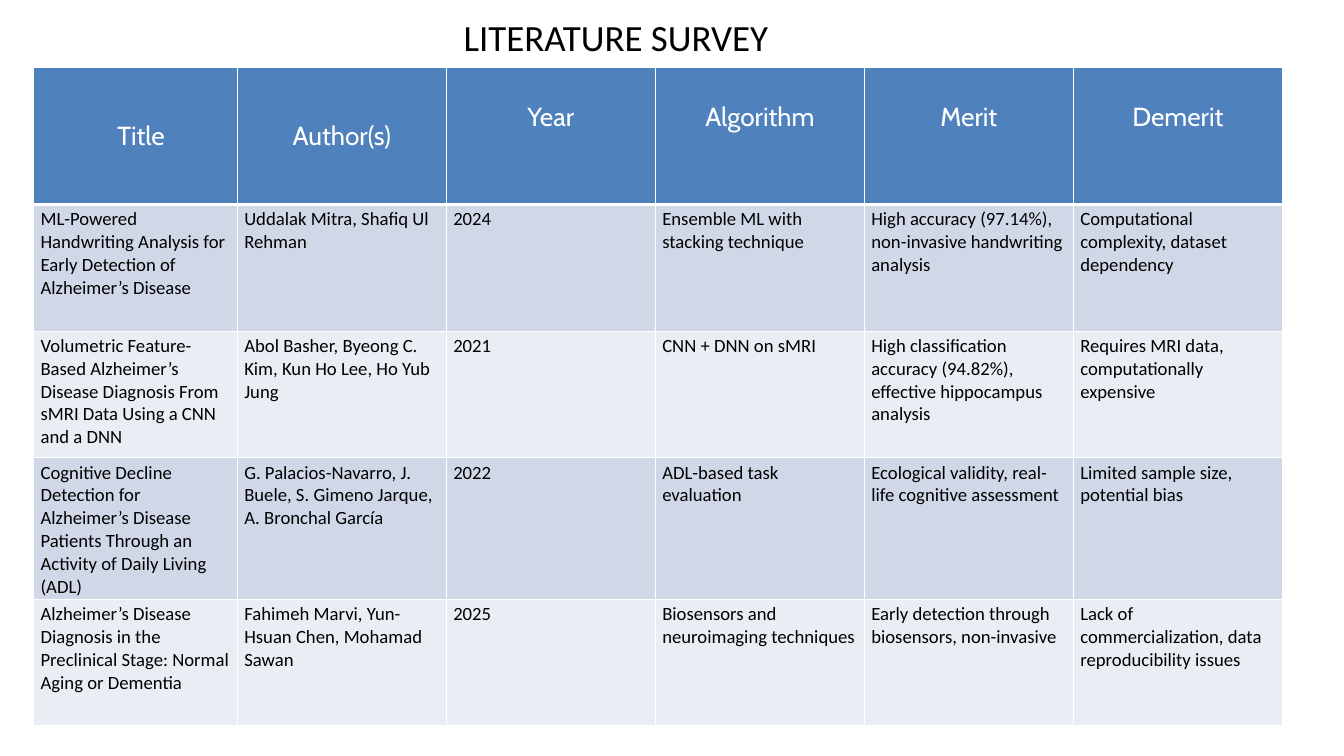
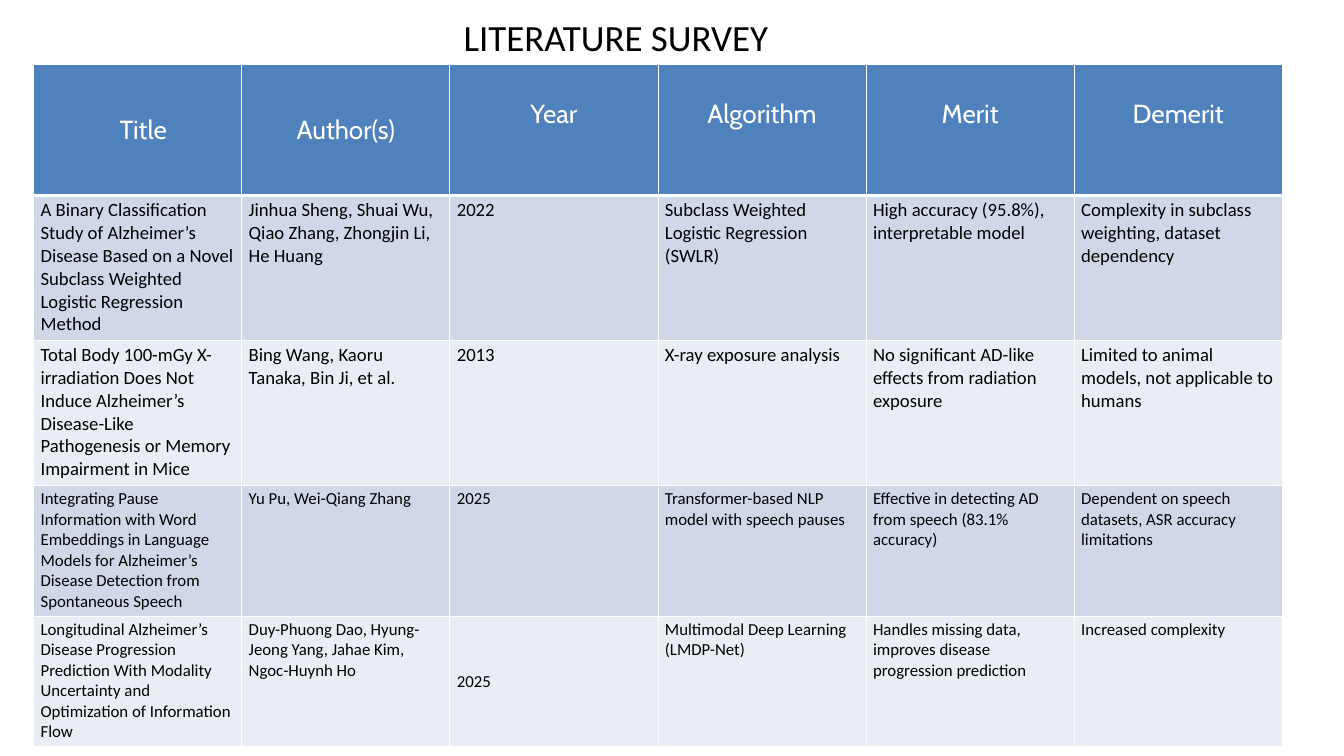
from lxml import etree
from pptx import Presentation
from pptx.dml.color import RGBColor
from pptx.enum.text import MSO_ANCHOR, PP_ALIGN
from pptx.oxml.ns import qn
from pptx.util import Emu, Pt

TOP, MIDDLE = MSO_ANCHOR.TOP, MSO_ANCHOR.MIDDLE
LEFT, CENTER = PP_ALIGN.LEFT, PP_ALIGN.CENTER

EMU_PER_PX = 9525
SLIDE_W, SLIDE_H = 1920, 1080
SURVEY_LEFT, SURVEY_W = 48, 1784
PAD_X, PAD_Y = 10, 5
HEADER_LINE = 44   # drop of the top-anchored headings
TITLE_INDENT = 16  # extra left inset of the "Title" heading

COLORS = {
    "text": "000000",
    "header_text": "FFFFFF",
    "header": "4F81BD",
    "band_dark": "D0D8E8",
    "band_light": "E9EDF4",
    "border": "FFFFFF",
}
BODY_FONT, HEADER_FONT = "Calibri", "Cabin"

# Heading, vertical anchor, extra left inset, extra top inset
HEADINGS = [
    ("Title", MIDDLE, TITLE_INDENT, 0),
    ("Author(s)", MIDDLE, 0, 0),
    ("Year", TOP, 0, HEADER_LINE),
    ("Algorithm", TOP, 0, HEADER_LINE),
    ("Merit", TOP, 0, HEADER_LINE),
    ("Demerit", TOP, 0, HEADER_LINE),
]

SURVEYS = [
    {
        "top": 96,
        "title_col": 291,
        "row_heights": [196, 181, 181, 181, 181],
        "sizes": [20, 20, 20, 20],
        "centred_years": [],
        "papers": [
            ("ML-Powered Handwriting Analysis for Early Detection of Alzheimer’s Disease",
             "Uddalak Mitra, Shafiq Ul Rehman", "2024",
             "Ensemble ML with stacking technique",
             "High accuracy (97.14%), non-invasive handwriting analysis",
             "Computational complexity, dataset dependency"),
            ("Volumetric Feature-Based Alzheimer’s Disease Diagnosis From sMRI Data "
             "Using a CNN and a DNN",
             "Abol Basher, Byeong C. Kim, Kun Ho Lee, Ho Yub Jung", "2021",
             "CNN + DNN on sMRI",
             "High classification accuracy (94.82%), effective hippocampus analysis",
             "Requires MRI data, computationally expensive"),
            ("Cognitive Decline Detection for Alzheimer’s Disease Patients Through "
             "an Activity of Daily Living (ADL)",
             "G. Palacios-Navarro, J. Buele, S. Gimeno Jarque, A. Bronchal García", "2022",
             "ADL-based task evaluation",
             "Ecological validity, real-life cognitive assessment",
             "Limited sample size, potential bias"),
            ("Alzheimer’s Disease Diagnosis in the Preclinical Stage: Normal Aging or Dementia",
             "Fahimeh Marvi, Yun-Hsuan Chen, Mohamad Sawan", "2025",
             "Biosensors and neuroimaging techniques",
             "Early detection through biosensors, non-invasive",
             "Lack of commercialization, data reproducibility issues"),
        ],
    },
    {
        "top": 92,
        "title_col": SURVEY_W / 6,
        "row_heights": [187, 207, 207, 187, 187],
        "sizes": [20, 20, 18, 18],
        "centred_years": [3],
        "papers": [
            ("A Binary Classification Study of Alzheimer’s Disease Based on a Novel "
             "Subclass Weighted Logistic Regression Method",
             "Jinhua Sheng, Shuai Wu, Qiao Zhang, Zhongjin Li, He Huang", "2022",
             "Subclass Weighted Logistic Regression (SWLR)",
             "High accuracy (95.8%), interpretable model",
             "Complexity in subclass weighting, dataset dependency"),
            ("Total Body 100-mGy X-irradiation Does Not Induce Alzheimer’s Disease-Like "
             "Pathogenesis or Memory Impairment in Mice",
             "Bing Wang, Kaoru Tanaka, Bin Ji, et al.", "2013",
             "X-ray exposure analysis",
             "No significant AD-like effects from radiation exposure",
             "Limited to animal models, not applicable to humans"),
            ("Integrating Pause Information with Word Embeddings in Language Models "
             "for Alzheimer’s Disease Detection from Spontaneous Speech",
             "Yu Pu, Wei-Qiang Zhang", "2025",
             "Transformer-based NLP model with speech pauses",
             "Effective in detecting AD from speech (83.1% accuracy)",
             "Dependent on speech datasets, ASR accuracy limitations"),
            ("Longitudinal Alzheimer’s Disease Progression Prediction With Modality "
             "Uncertainty and Optimization of Information Flow",
             "Duy-Phuong Dao, Hyung-Jeong Yang, Jahae Kim, Ngoc-Huynh Ho", "2025",
             "Multimodal Deep Learning (LMDP-Net)",
             "Handles missing data, improves disease progression prediction",
             "Increased complexity"),
        ],
    },
]


def px(length):
    return Emu(round(length * EMU_PER_PX))


def rgb(name):
    return RGBColor.from_string(COLORS[name])


def write(frame, text, *, size, font=BODY_FONT, color="text", align=LEFT):
    frame.word_wrap = True
    paragraph = frame.paragraphs[0]
    paragraph.alignment = align
    run = paragraph.add_run()
    run.text = text
    run.font.name = font
    run.font.size = Pt(size)
    run.font.bold = False
    run.font.color.rgb = rgb(color)


def add_heading(slide, text):
    frame = slide.shapes.add_textbox(px(48), px(29), px(1664), px(47)).text_frame
    frame.margin_left = frame.margin_right = frame.margin_top = frame.margin_bottom = 0
    frame.vertical_anchor = MIDDLE
    write(frame, text, size=39.6, align=CENTER)


def set_borders(cell, bottom):
    properties = cell._tc.get_or_add_tcPr()
    for side, width in (("L", 1), ("R", 1), ("T", 1), ("B", bottom)):
        line = etree.SubElement(properties, qn(f"a:ln{side}"), w=str(Pt(width)))
        fill = etree.SubElement(line, qn("a:solidFill"))
        etree.SubElement(fill, qn("a:srgbClr"), val=COLORS["border"])


def style_cell(cell, fill, *, anchor=TOP, indent=0, drop=0, bottom=1):
    set_borders(cell, bottom)
    cell.fill.solid()
    cell.fill.fore_color.rgb = rgb(fill)
    cell.vertical_anchor = anchor
    cell.margin_left, cell.margin_right = px(PAD_X + indent), px(PAD_X)
    cell.margin_top, cell.margin_bottom = px(PAD_Y + drop), px(PAD_Y)


def add_survey(slide, survey):
    heights = survey["row_heights"]
    table = slide.shapes.add_table(
        len(heights), len(HEADINGS), px(SURVEY_LEFT), px(survey["top"]),
        px(SURVEY_W), px(sum(heights))).table

    # Column and row sizes
    title_col = survey["title_col"]
    other_col = (SURVEY_W - title_col) / (len(HEADINGS) - 1)
    for index, column in enumerate(table.columns):
        column.width = px(other_col if index else title_col)
    for row, height in zip(table.rows, heights):
        row.height = px(height)

    # Header row
    for index, (heading, anchor, indent, drop) in enumerate(HEADINGS):
        cell = table.cell(0, index)
        style_cell(cell, "header", anchor=anchor, indent=indent, drop=drop, bottom=3)
        write(cell.text_frame, heading, size=28, font=HEADER_FONT,
              color="header_text", align=CENTER)

    # One banded row for each paper
    for number, (paper, size) in enumerate(zip(survey["papers"], survey["sizes"])):
        band = "band_light" if number % 2 else "band_dark"
        for index, detail in enumerate(paper):
            cell = table.cell(number + 1, index)
            centred = HEADINGS[index][0] == "Year" and number in survey["centred_years"]
            style_cell(cell, band, anchor=MIDDLE if centred else TOP)
            write(cell.text_frame, detail, size=size)


def main():
    deck = Presentation()
    deck.slide_width, deck.slide_height = px(SLIDE_W), px(SLIDE_H)
    blank = deck.slide_layouts[6]
    for survey in SURVEYS:
        slide = deck.slides.add_slide(blank)
        add_heading(slide, "LITERATURE SURVEY")
        add_survey(slide, survey)
    deck.save("out.pptx")


if __name__ == "__main__":
    main()
